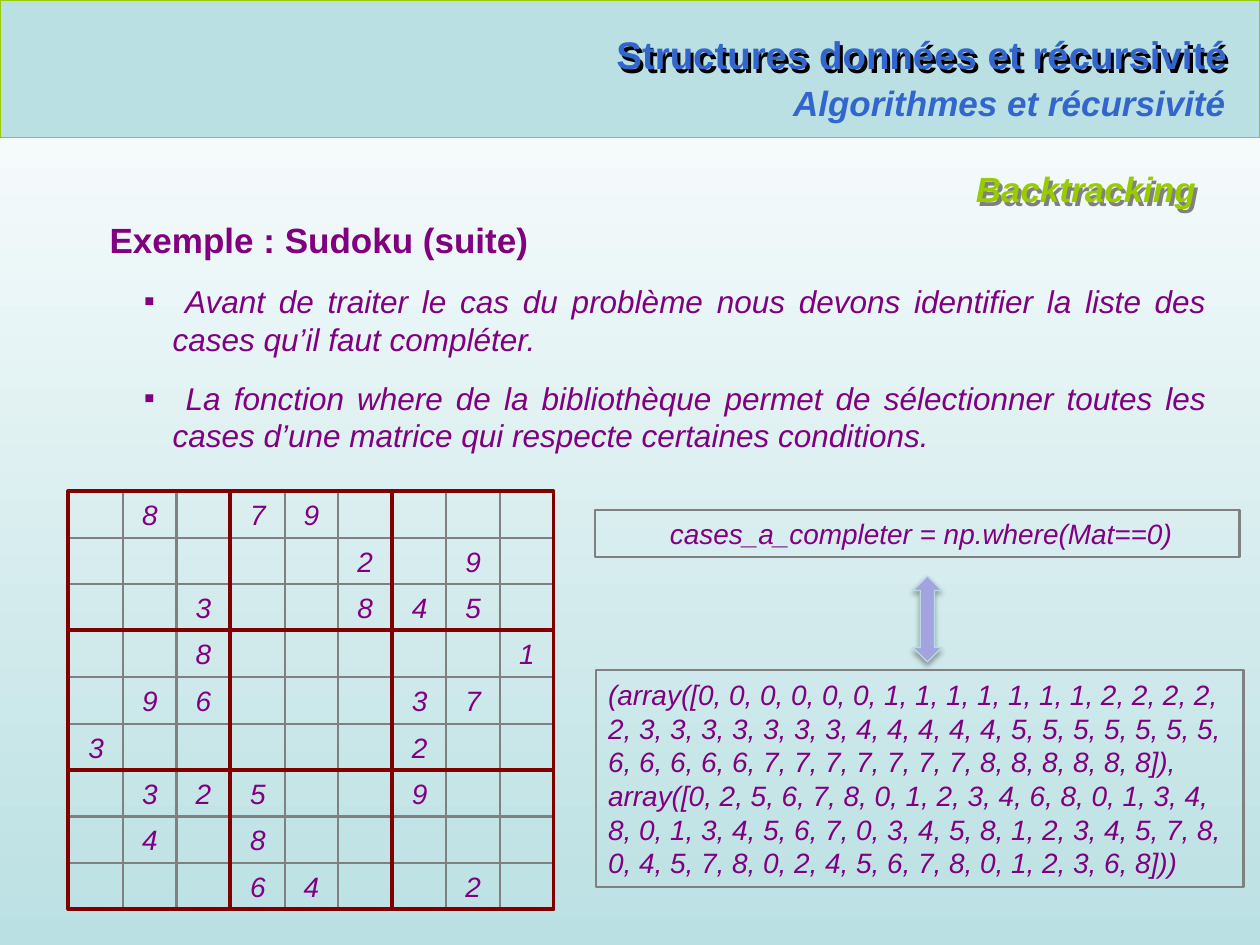
from dataclasses import dataclass
from typing import Optional

from lxml.etree import SubElement
from pptx import Presentation
from pptx.dml.color import RGBColor
from pptx.enum.shapes import MSO_CONNECTOR, MSO_SHAPE
from pptx.enum.text import MSO_ANCHOR, MSO_AUTO_SIZE, PP_ALIGN
from pptx.oxml.ns import qn
from pptx.util import Cm, Pt

FONT = "Arial"
SKY, GREEN, BLUE = "BBE0E3", "99CC00", "3366CC"
PURPLE, GRAY, MAROON = "800080", "808080", "800000"

# Sudoku grid, a dot for each empty case
GRID = [
    ".8.79....", ".....2.9.", "..3..845.",
    "..8.....1", ".96...37.", "3.....2..",
    ".325..9..", ".4.8.....", "...64..2.",
]
GRID_LEFT, GRID_TOP = 1.38, 9.9
BLOCK_W, BLOCK_H = 3.26, 2.81
CELL_W, CELL_H = 1.08, 0.94

INDICES = (
    "(array([0, 0, 0, 0, 0, 0, 1, 1, 1, 1, 1, 1, 1, 2, 2, 2, 2, 2, 3, 3, 3, 3, 3, 3, 3, "
    "4, 4, 4, 4, 4, 5, 5, 5, 5, 5, 5, 5, 6, 6, 6, 6, 6, 7, 7, 7, 7, 7, 7, 7, "
    "8, 8, 8, 8, 8, 8]), "
    "array([0, 2, 5, 6, 7, 8, 0, 1, 2, 3, 4, 6, 8, 0, 1, 3, 4, 8, 0, 1, 3, 4, 5, 6, 7, "
    "0, 3, 4, 5, 8, 1, 2, 3, 4, 5, 7, 8, 0, 4, 5, 7, 8, 0, 2, 4, 5, 6, 7, 8, "
    "0, 1, 2, 3, 6, 8]))"
)


@dataclass
class Box:
    """Position and size in centimetres."""
    left: float
    top: float
    width: float
    height: float

    def emu(self) -> tuple:
        return Cm(self.left), Cm(self.top), Cm(self.width), Cm(self.height)


@dataclass
class Shadow:
    color: str
    alpha: int
    blur: float
    dist: float
    angle: int


@dataclass
class Heading:
    text: str
    box: Box
    size: int
    color: str
    italic: bool = True
    wrap: bool = False
    shadow: Optional[Shadow] = None


@dataclass
class Para:
    text: str
    size: int = 18
    after: int = 0
    bullet: bool = True


HEADINGS = [
    Heading("Structures données et récursivité", Box(11.86, 0.51, 13.13, 1.19), 22, BLUE,
            italic=False, shadow=Shadow("000000", 100, 0, 2.5, 45)),
    Heading("Algorithmes et récursivité", Box(15.49, 1.52, 9.47, 1.12), 20, BLUE),
    Heading("Backtracking", Box(13.69, 3.25, 10.67, 1.09), 20, GREEN,
            wrap=True, shadow=Shadow(GRAY, 100, 0, 2.8, 50)),
]

BODY = [
    Para("Exemple : Sudoku (suite)", size=20, after=12, bullet=False),
    Para(" Avant de traiter le cas du problème nous devons identifier la liste des "
         "cases qu’il faut compléter. ", after=12),
    Para(" La fonction where de la bibliothèque permet de sélectionner toutes les "
         "cases d’une matrice qui respecte certaines conditions."),
]


def rgb(color: str) -> RGBColor:
    return RGBColor.from_string(color)


def set_font(p, size: int, color: str, bold: bool = False, italic: bool = False) -> None:
    f = p.font
    f.name, f.size, f.bold, f.italic = FONT, Pt(size), bold, italic
    f.color.rgb = rgb(color)


def add_shadow(sp, shadow: Shadow) -> None:
    sp_pr = sp._element.spPr
    for old in sp_pr.findall(qn("a:effectLst")):
        sp_pr.remove(old)
    effects = SubElement(sp_pr, qn("a:effectLst"))
    outer = SubElement(effects, qn("a:outerShdw"), blurRad=str(Pt(shadow.blur)),
                       dist=str(Pt(shadow.dist)), dir=str(shadow.angle * 60000),
                       algn="ctr", rotWithShape="0")
    clr = SubElement(outer, qn("a:srgbClr"), val=shadow.color)
    SubElement(clr, qn("a:alpha"), val=str(shadow.alpha * 1000))


def add_shape(s, kind, box: Box, line: str, width: float, fill: Optional[str] = None):
    sp = s.shapes.add_shape(kind, *box.emu())
    sp.shadow.inherit = False
    if fill:
        sp.fill.solid()
        sp.fill.fore_color.rgb = rgb(fill)
    else:
        sp.fill.background()
    sp.line.color.rgb = rgb(line)
    sp.line.width = Pt(width)
    return sp


def add_frame(s, box: Box, text: str = "", align=PP_ALIGN.CENTER) -> None:
    """Grey outlined rectangle, with italic text if there is any."""
    sp = add_shape(s, MSO_SHAPE.RECTANGLE, box, GRAY, 1.25)
    if text:
        tf = sp.text_frame
        tf.word_wrap = True
        tf.auto_size = MSO_AUTO_SIZE.SHAPE_TO_FIT_TEXT
        tf.vertical_anchor = MSO_ANCHOR.MIDDLE
        p = tf.paragraphs[0]
        p.text, p.alignment = text, align
        set_font(p, 16, PURPLE, italic=True)


def add_heading(s, h: Heading) -> None:
    sp = s.shapes.add_textbox(*h.box.emu())
    tf = sp.text_frame
    tf.word_wrap = h.wrap
    tf.auto_size = MSO_AUTO_SIZE.SHAPE_TO_FIT_TEXT
    p = tf.paragraphs[0]
    p.text, p.alignment = h.text, PP_ALIGN.RIGHT
    set_font(p, h.size, h.color, bold=True, italic=h.italic)
    if h.shadow:
        add_shadow(sp, h.shadow)


def add_body(s, box: Box, paras: list) -> None:
    tf = s.shapes.add_textbox(*box.emu()).text_frame
    tf.word_wrap = True
    tf.auto_size = MSO_AUTO_SIZE.SHAPE_TO_FIT_TEXT
    for i, para in enumerate(paras):
        p = tf.add_paragraph() if i else tf.paragraphs[0]
        p.text, p.alignment = para.text, PP_ALIGN.JUSTIFY
        p.space_after = Pt(para.after)
        if para.bullet:
            p.level = 1
            p_pr = p._p.get_or_add_pPr()
            p_pr.set("marL", str(Cm(1.27)))
            p_pr.set("indent", str(Cm(-0.58)))
            SubElement(p_pr, qn("a:buFont"), typeface=FONT)
            SubElement(p_pr, qn("a:buChar"), char="▪")
        set_font(p, para.size, PURPLE, bold=not para.bullet, italic=para.bullet)


def add_block(s, row: int, col: int) -> None:
    """One 3 x 3 block of the sudoku with its thick outline."""
    left, top = GRID_LEFT + col * BLOCK_W, GRID_TOP + row * BLOCK_H
    for i in range(3):
        for j in range(3):
            digit = GRID[3 * row + i][3 * col + j].strip(".")
            add_frame(s, Box(left + 0.02 + j * CELL_W, top + i * CELL_H, CELL_W, CELL_H), digit)
    add_shape(s, MSO_SHAPE.RECTANGLE, Box(left, top, BLOCK_W, BLOCK_H), MAROON, 2.25)


def main() -> None:
    prs = Presentation()
    prs.slide_width, prs.slide_height = Cm(25.4), Cm(19.05)
    s = prs.slides.add_slide(prs.slide_layouts[6])

    # Background, white at the top
    bg = s.background.fill
    bg.gradient()
    bg.gradient_angle = 270
    for stop, color in zip(bg.gradient_stops, ("FFFFFF", SKY)):
        stop.color.rgb = rgb(color)

    # Header band, rule and headings
    add_shape(s, MSO_SHAPE.RECTANGLE, Box(0, 0, 25.4, 2.77), GREEN, 0.75, SKY)
    rule = s.shapes.add_connector(MSO_CONNECTOR.STRAIGHT, Cm(0.86), Cm(2.77), Cm(24.79), Cm(2.77))
    rule.line.color.rgb = rgb(GREEN)
    rule.line.width = Pt(0.75)
    SubElement(rule._element.spPr, qn("a:effectLst"))
    for h in HEADINGS:
        add_heading(s, h)

    # Explanation
    add_body(s, Box(1.96, 4.29, 22.61, 5.05), BODY)

    # Sudoku
    for row in range(3):
        for col in range(3):
            add_block(s, row, col)

    # Call and its result
    arrow = add_shape(s, MSO_SHAPE.LEFT_RIGHT_ARROW, Box(17.83, 12.19, 1.73, 0.58),
                      "B6DCDF", 0.75, "A3A3E0")
    arrow.rotation = 90
    add_shadow(arrow, Shadow("000000", 35, 3.1, 1.8, 90))
    add_frame(s, Box(12.01, 13.51, 13.06, 4.37), INDICES, PP_ALIGN.LEFT)
    add_frame(s, Box(11.99, 10.29, 13, 0.94), " cases_a_completer = np.where(Mat==0)")

    prs.save("out.pptx")


if __name__ == "__main__":
    main()
